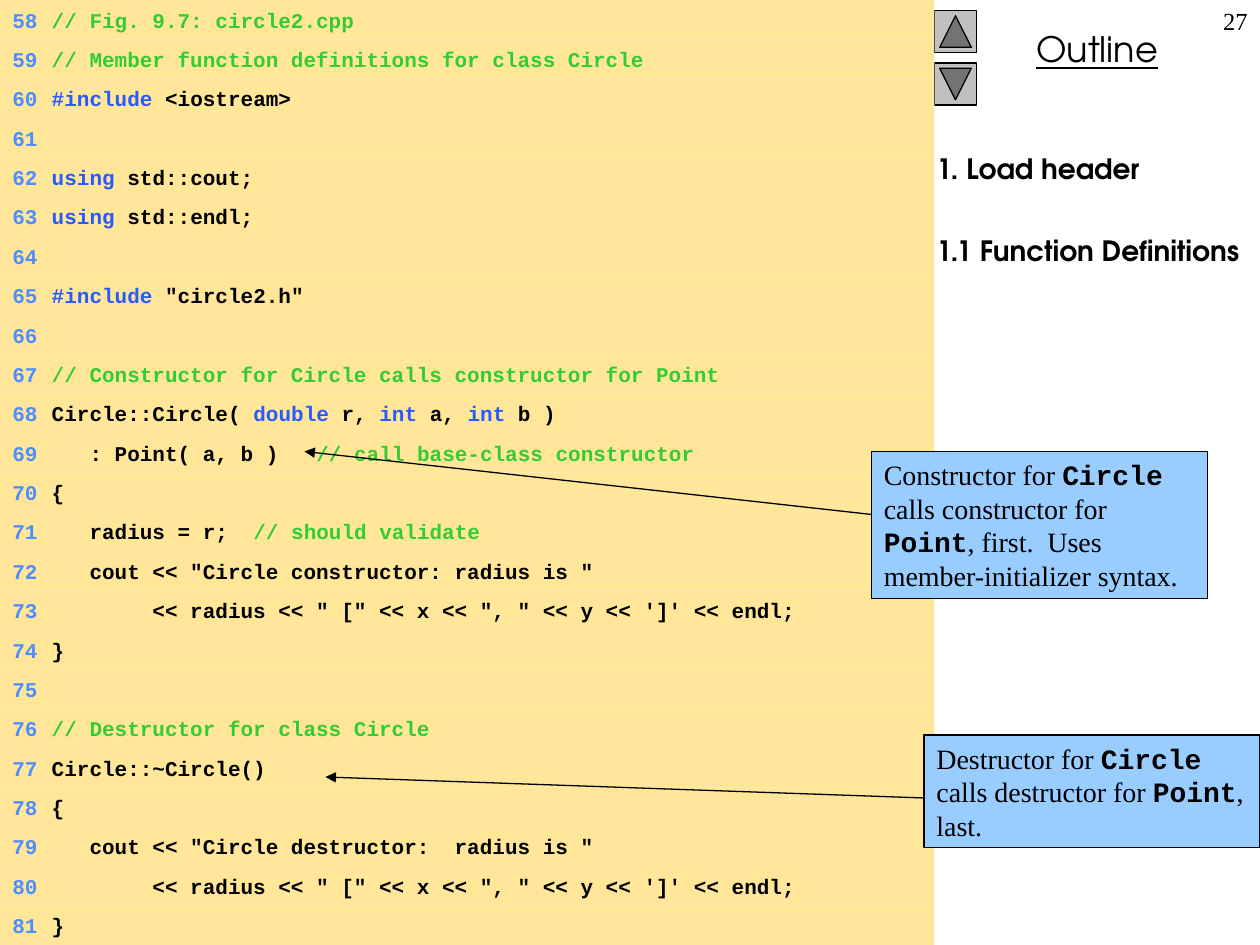
from dataclasses import dataclass
from typing import Optional

from lxml.etree import SubElement
from pptx import Presentation
from pptx.dml.color import RGBColor
from pptx.enum.shapes import MSO_CONNECTOR, MSO_SHAPE
from pptx.enum.text import MSO_ANCHOR, PP_ALIGN
from pptx.oxml.ns import qn
from pptx.util import Emu, Pt

PX = 9525  # EMU per px, 96 px to the inch
PAGE_WIDTH, PAGE_HEIGHT = 960, 720
CODE_WIDTH, ROW_HEIGHT, FIRST_LINE = 712, 30, 58
NUMBER_TAB, CODE_TAB = 14, 30
MONO, SERIF, SANS = "Courier New", "Times New Roman", "TeX Gyre Adventor"
COLORS = {
    "text": "000000", "number": "4D8DFF", "comment": "33CC33", "keyword": "275AFF",
    "code_fill": "FFE699", "note_fill": "99CCFF", "button_fill": "C0C0C0",
}


@dataclass(frozen=True)
class Span:
    text: str
    color: str = "text"
    font: str = MONO
    bold: bool = True


@dataclass(frozen=True)
class Area:
    left: int
    top: int
    width: int
    height: int

    def emu(self) -> list[Emu]:
        return [Emu(side * PX) for side in (self.left, self.top, self.width, self.height)]


@dataclass(frozen=True)
class Callout:
    area: Area
    spans: tuple[Span, ...]
    start: tuple[int, int]
    end: tuple[int, int]


def comment(text: str) -> Span:
    return Span(text, "comment")


def keyword(text: str) -> Span:
    return Span(text, "keyword")


def prose(text: str) -> Span:
    return Span(text, font=SERIF, bold=False)


PRINT_POINT = (Span("        << radius << \" [\" << x << \", \" << y << ']' << endl;"),)
CODE = (
    (comment("// Fig. 9.7: circle2.cpp"),),
    (comment("// Member function definitions for class Circle"),),
    (keyword("#include"), Span(" <iostream>")),
    (),
    (keyword("using"), Span(" std::cout;")),
    (keyword("using"), Span(" std::endl;")),
    (),
    (keyword("#include"), Span(' "circle2.h"')),
    (),
    (comment("// Constructor for Circle calls constructor for Point"),),
    (Span("Circle::Circle( "), keyword("double"), Span(" r, "), keyword("int"),
     Span(" a, "), keyword("int"), Span(" b )")),
    (Span("   : Point( a, b )  "), comment(" // call base-class constructor")),
    (Span("{"),),
    (Span("   radius = r;  "), comment("// should validate")),
    (Span('   cout << "Circle constructor: radius is "'),),
    PRINT_POINT,
    (Span("}"),),
    (),
    (comment("// Destructor for class Circle"),),
    (Span("Circle::~Circle()"),),
    (Span("{"),),
    (Span('   cout << "Circle destructor:  radius is "'),),
    PRINT_POINT,
    (Span("}"),),
)
CALLOUTS = (
    Callout(Area(664, 344, 256, 112),
            (prose("Constructor for "), Span("Circle"), prose(" calls constructor for "),
             Span("Point"), prose(", first.  Uses member-initializer syntax.")),
            start=(664, 392), end=(232, 344)),
    Callout(Area(704, 560, 256, 86),
            (prose("Destructor for "), Span("Circle "), prose("calls destructor for "),
             Span("Point"), prose(", last.")),
            start=(704, 608), end=(248, 592)),
)
BUTTONS = ((Area(712, 8, 32, 32), 90), (Area(712, 48, 32, 32), 270))
TOPICS = ("1. Load header", "1.1 Function Definitions")


def add_text(para, text: str, *, size: int, font: str, color: str = "text",
             bold: bool = False, underline: bool = False) -> None:
    run = para.add_run()
    run.text = text
    run.font.size = Pt(size)
    run.font.name = font
    run.font.bold = bold
    run.font.underline = underline
    run.font.color.rgb = RGBColor.from_string(COLORS[color])


def add_spans(para, spans: tuple[Span, ...], size: int) -> None:
    for span in spans:
        add_text(para, span.text, size=size, font=span.font, color=span.color, bold=span.bold)


def set_tabs(para, stops: dict[int, str]) -> None:
    tab_list = SubElement(para._p.get_or_add_pPr(), qn("a:tabLst"))
    for position, alignment in stops.items():
        SubElement(tab_list, qn("a:tab"), pos=str(position * PX), algn=alignment)


def add_block(page, area: Area, fill: str, *, preset=MSO_SHAPE.RECTANGLE,
              outlined: bool = True, anchor=MSO_ANCHOR.TOP):
    box = page.shapes.add_shape(preset, *area.emu())
    box.shadow.inherit = False
    box.fill.solid()
    box.fill.fore_color.rgb = RGBColor.from_string(COLORS[fill])
    if outlined:
        box.line.color.rgb = RGBColor.from_string(COLORS["text"])
        box.line.width = Pt(0.75)
    else:
        box.line.fill.background()
    box.text_frame.word_wrap = True
    box.text_frame.vertical_anchor = anchor
    box.text_frame.paragraphs[0].alignment = PP_ALIGN.LEFT
    return box


def add_text_box(page, area: Area):
    frame = page.shapes.add_textbox(*area.emu()).text_frame
    frame.word_wrap = True
    return frame


def add_code_row(page, index: int, spans: tuple[Span, ...]) -> None:
    area = Area(0, index * ROW_HEIGHT, CODE_WIDTH, ROW_HEIGHT)
    row = add_block(page, area, "code_fill", outlined=False, anchor=MSO_ANCHOR.MIDDLE)
    para = row.text_frame.paragraphs[0]
    set_tabs(para, {0: "l", NUMBER_TAB: "r", CODE_TAB: "l"})
    add_spans(para, (Span(f"\t{FIRST_LINE + index}\t", "number"), *spans), size=12)


def add_callout(page, callout: Callout) -> None:
    box = add_block(page, callout.area, "note_fill")
    add_spans(box.text_frame.paragraphs[0], callout.spans, size=16)
    ends = [Emu(value * PX) for value in (*callout.start, *callout.end)]
    arrow = page.shapes.add_connector(MSO_CONNECTOR.STRAIGHT, *ends)
    arrow.line.color.rgb = RGBColor.from_string(COLORS["text"])
    arrow.line.width = Pt(0.75)
    SubElement(arrow.line._get_or_add_ln(), qn("a:tailEnd"), type="triangle")
    SubElement(arrow._element.spPr, qn("a:effectLst"))


def main() -> None:
    deck = Presentation()
    deck.slide_width, deck.slide_height = Emu(PAGE_WIDTH * PX), Emu(PAGE_HEIGHT * PX)
    page = deck.slides.add_slide(deck.slide_layouts[5])

    # Title
    title = page.shapes.title
    title.left, title.top, title.width, title.height = Area(712, 16, 248, 42).emu()
    title.text_frame.vertical_anchor = MSO_ANCHOR.MIDDLE
    para = title.text_frame.paragraphs[0]
    para.alignment = PP_ALIGN.CENTER
    add_text(para, "Outline", size=20, font=SANS, underline=True)

    # Navigation buttons
    for area, rotation in BUTTONS:
        button = add_block(page, area, "button_fill",
                           preset=MSO_SHAPE.ACTION_BUTTON_BACK_OR_PREVIOUS)
        button.rotation = rotation

    # Topics
    frame = add_text_box(page, Area(704, 111, 256, 609))
    for index, topic in enumerate(TOPICS):
        para = frame.add_paragraph() if index else frame.paragraphs[0]
        para.space_before = Pt(27.5 if index else 0)
        add_text(para, topic, size=16, font=SANS, bold=True)

    # Code listing and callouts
    for index, spans in enumerate(CODE):
        add_code_row(page, index, spans)
    for callout in CALLOUTS:
        add_callout(page, callout)

    # Page number
    para = add_text_box(page, Area(760, 0, 200, 48)).paragraphs[0]
    para.alignment = PP_ALIGN.RIGHT
    add_text(para, "27", size=14, font=SERIF)

    deck.save("out.pptx")


if __name__ == "__main__":
    main()
